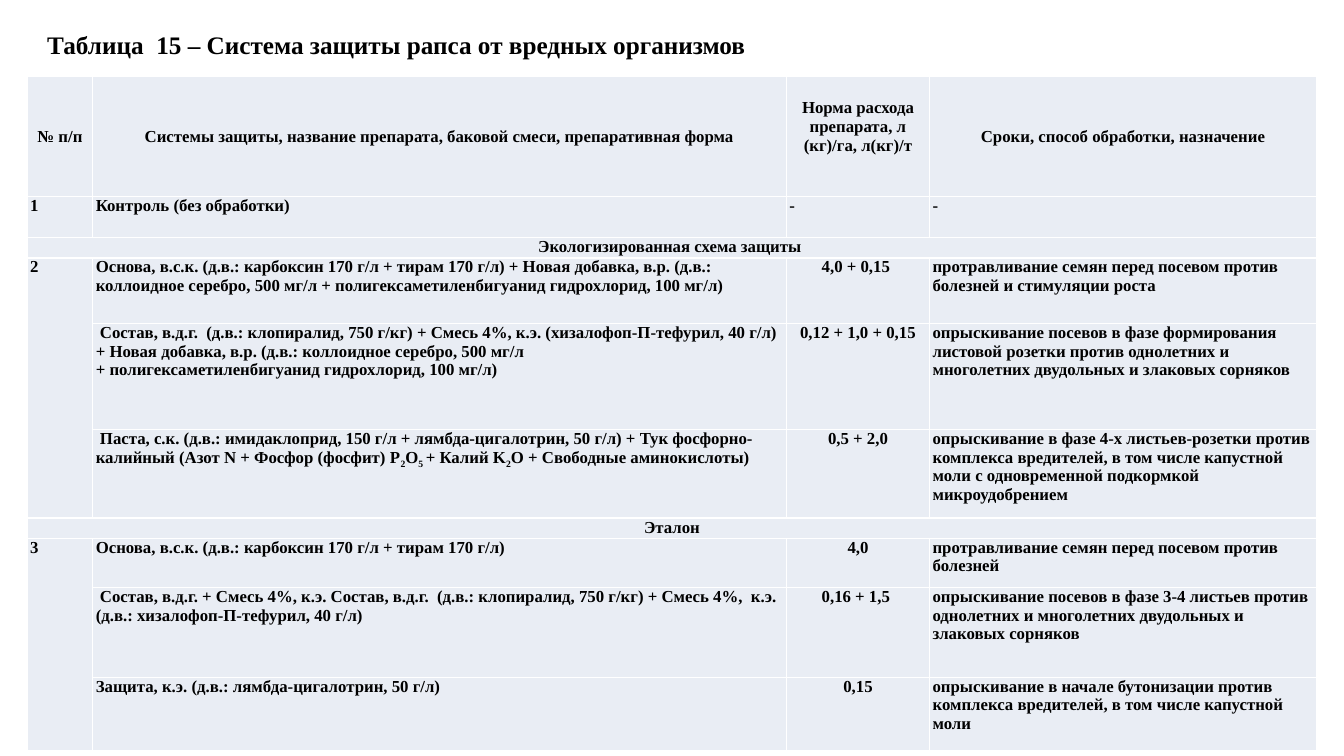
from lxml import etree
from pptx import Presentation, util as u
from pptx.dml.color import RGBColor
from pptx.enum import text
from pptx.oxml import ns

FONT = "Times New Roman"
BLACK = RGBColor(0x00, 0x00, 0x00)
WHITE = RGBColor(0xFF, 0xFF, 0xFF)
PALE = RGBColor(0xE9, 0xED, 0xF4)
NBSP = chr(160)


def write(para, words, size):
    """Add bold runs; every second part between bars is a subscript, ~ is a fixed space."""
    for index, part in enumerate(words.replace("~", NBSP).split("|")):
        span = para.add_run()
        span.text = part
        span.font.name, span.font.size, span.font.bold = FONT, u.Pt(size), True
        span.font.color.rgb = BLACK
        if index % 2:
            span.font._element.set("baseline", "-25000")


def outline(cell):
    """Give all four sides of a cell a white line."""
    props = cell._tc.get_or_add_tcPr()
    for side in ("a:lnL", "a:lnR", "a:lnT", "a:lnB"):
        line = etree.SubElement(props, ns.qn(side), w=str(u.Pt(1)))
        fill = etree.SubElement(line, ns.qn("a:solidFill"))
        etree.SubElement(fill, ns.qn("a:srgbClr"), val=str(WHITE))


deck = Presentation()
deck.slide_width, deck.slide_height = u.Inches(13.33), u.Inches(7.5)
page = deck.slides.add_slide(deck.slide_layouts[6])

# Title
box = page.shapes.add_textbox(u.Inches(0.37), u.Inches(0.24), u.Inches(8.19), u.Inches(0.4))
box.text_frame.word_wrap = True
write(box.text_frame.paragraphs[0], "Таблица  15 – Система защиты рапса от вредных организмов", 18)

# Table content: None continues the merged cell to the left or above
ROWS = [
    (1.19, "№ п/п",
     "Системы защиты, название препарата, баковой смеси, препаративная форма",
     "Норма расхода препарата, л (кг)/га, л(кг)/т",
     "Сроки, способ обработки, назначение"),
    (0.41, "1", "Контроль (без обработки)", "-", "-"),
    (0.2, "Экологизированная схема защиты ", None, None, None),
    (0.65, "2",
     "Основа, в.с.к. (д.в.: карбоксин~170 г/л +~тирам 170 г/л) + Новая добавка, в.р. (д.в.: "
     "коллоидное серебро, 500 мг/л +~полигексаметиленбигуанид~гидрохлорид, 100 мг/л)",
     "4,0 + 0,15 ",
     "протравливание семян перед посевом против болезней и стимуляции роста"),
    (1.05, None,
     " Состав, в.д.г.  (д.в.: клопиралид, 750 г/кг) + Смесь 4%, к.э. "
     "(хизалофоп-П-тефурил,~40 г/л) + Новая добавка, в.р. (д.в.: коллоидное серебро, "
     "500 мг/л +~полигексаметиленбигуанид~гидрохлорид, 100 мг/л)",
     "0,12 + 1,0 + 0,15",
     "опрыскивание посевов в фазе формирования листовой розетки против однолетних и "
     "многолетних двудольных и злаковых сорняков"),
    (0.88, None,
     " Паста, с.к. (д.в.: имидаклоприд, 150 г/л + лямбда-цигалотрин, 50 г/л) + Тук "
     "фосфорно-калийный (Азот N + Фосфор (фосфит) P|2|O|5 |+ Калий K|2|O + Свободные "
     "аминокислоты)",
     "0,5 + 2,0",
     "опрыскивание в фазе 4-х листьев-розетки против комплекса вредителей, в том числе "
     "капустной моли с одновременной подкормкой микроудобрением"),
    (0.2, "Эталон", None, None, None),
    (0.49, "3", "Основа, в.с.к. (д.в.: карбоксин~170 г/л +~тирам 170 г/л)", "4,0",
     "протравливание семян перед посевом против болезней"),
    (0.89, None,
     " Состав, в.д.г. + Смесь 4%, к.э. Состав, в.д.г.  (д.в.: клопиралид, 750 г/кг) + "
     "Смесь 4%,  к.э. (д.в.: хизалофоп-П-тефурил,~40 г/л)",
     "0,16 + 1,5 ",
     "опрыскивание посевов в фазе 3-4 листьев против однолетних и многолетних двудольных "
     "и злаковых сорняков"),
    (0.73, None, "Защита, к.э. (д.в.: лямбда-цигалотрин, 50 г/л)", "0,15",
     "опрыскивание в начале бутонизации против комплекса вредителей, в том числе "
     "капустной моли"),
]
WIDTHS = (0.65, 6.88, 1.42, 3.84)
HEIGHTS = [row[0] for row in ROWS]
RATE = 2

table = page.shapes.add_table(
    len(ROWS), len(WIDTHS), u.Inches(0.27), u.Inches(0.76),
    u.Inches(sum(WIDTHS)), u.Inches(sum(HEIGHTS))).table
table.first_row = table.horz_banding = False
for column, width in zip(table.columns, WIDTHS):
    column.width = u.Inches(width)

# Cells
for r, (height, *entries) in enumerate(ROWS):
    table.rows[r].height = u.Inches(height)
    banner = entries[1] is None
    for c, entry in enumerate(entries):
        cell = table.cell(r, c)
        outline(cell)
        cell.fill.solid()
        cell.fill.fore_color.rgb = PALE
        cell.margin_left = cell.margin_right = u.Inches(0.03)
        cell.margin_top = cell.margin_bottom = 0
        if r == 0:
            cell.vertical_anchor = text.MSO_ANCHOR.MIDDLE
        if entry is None:
            continue
        para = cell.text_frame.paragraphs[0]
        dash = entry == "-"
        if r == 0 or banner or (c == RATE and not dash):
            para.alignment = text.PP_ALIGN.CENTER
        write(para, entry, 12)
    if banner:
        table.cell(r, 0).merge(table.cell(r, len(WIDTHS) - 1))

# The rate heading sits half a line above the middle
table.cell(0, RATE).margin_bottom = u.Inches(0.19)

# Numbers 2 and 3 each cover three treatments
for first in (3, 7):
    table.cell(first, 0).merge(table.cell(first + 2, 0))

deck.save("out.pptx")
